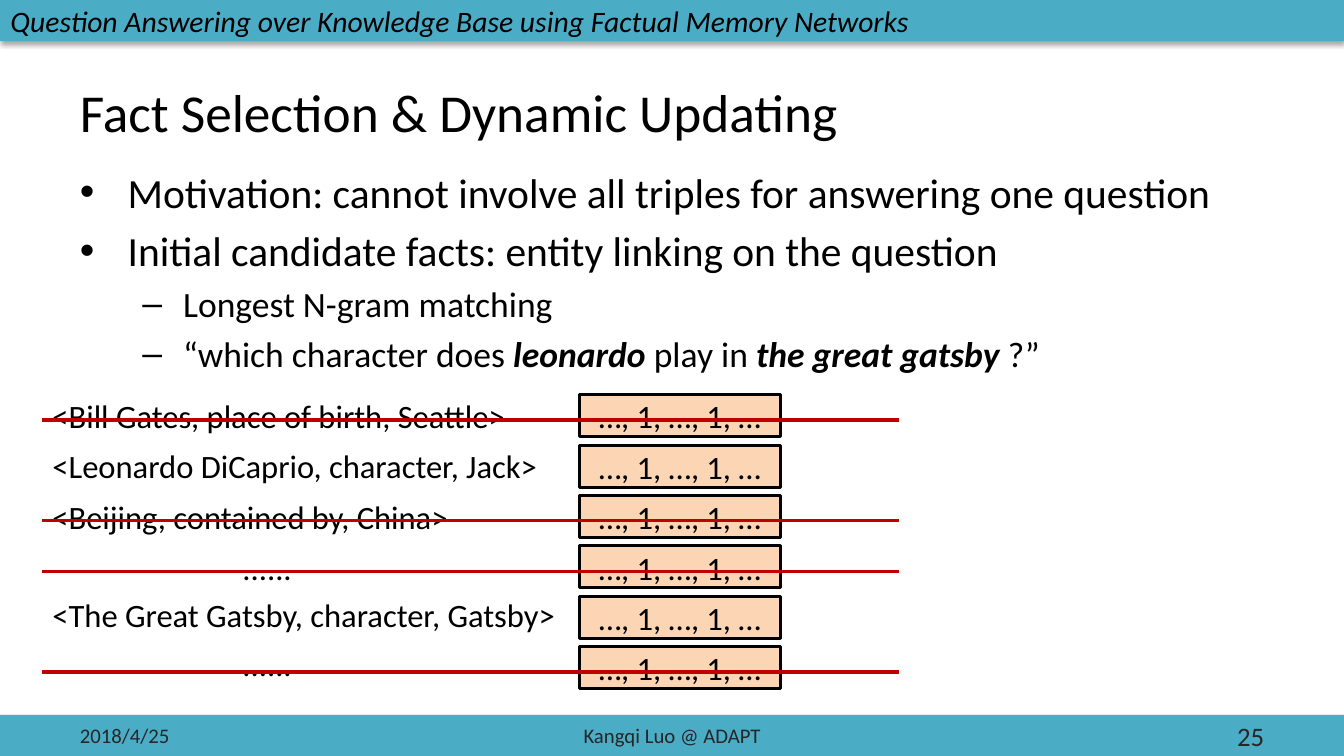
from lxml.etree import SubElement
from pptx import Presentation
from pptx.dml.color import RGBColor
from pptx.enum.shapes import MSO_CONNECTOR, MSO_SHAPE
from pptx.enum.text import MSO_ANCHOR, MSO_AUTO_SIZE, PP_ALIGN
from pptx.oxml.ns import qn
from pptx.util import Cm, Pt

COLORS = {"bar": "4BACC6", "box": "FCD5B5", "strike": "C00000",
          "text": "000000", "footer": "262626"}
FONT = "Calibri"
LEFT, CENTER, RIGHT = PP_ALIGN.LEFT, PP_ALIGN.CENTER, PP_ALIGN.RIGHT
WIDTH, HEIGHT = 32, 18
BAR_HEIGHT = 0.98
ROW_STEP = 1.2
VECTOR = "…, 1, …, 1, …"

BULLETS = [
    (0, [("Motivation: cannot involve all triples for answering one question", False)]),
    (0, [("Initial candidate facts: entity linking on the question", False)]),
    (1, [("Longest N-gram matching", False)]),
    (1, [("“which character does ", False), ("leonardo", True), (" play in ", False),
         ("the great gatsby", True), (" ?”", False)]),
]
# Text size, left margin and hanging indent of each list level
LEVELS = [(28, 1.14, -1.14), (24, 2.46, -0.97)]

# Text, top, width, alignment, struck out
FACTS = [
    ("<Bill Gates, place of birth, Seattle>", 9.3, 11.6, LEFT, True),
    ("<Leonardo DiCaprio, character, Jack>", 10.5, 13, LEFT, False),
    ("<Beijing, contained by, China>", 11.7, 10.72, LEFT, True),
    ("......", 12.92, 10.72, CENTER, True),
    ("<The Great Gatsby, character, Gatsby>", 14.05, 12.8, LEFT, False),
    ("......", 15.2, 10.72, CENTER, True),
]
FOOTERS = [
    ("2018/4/25", 1.6, 7.47, 14, LEFT),
    ("Kangqi Luo @ ADAPT", 10.94, 10.13, 14, CENTER),
    ("25", 22.93, 7.47, 18, RIGHT),
]


def rgb(name):
    return RGBColor.from_string(COLORS[name])


class SlideBuilder:
    def __init__(self, slide):
        self.slide = slide

    def style(self, p, size, color="text", align=LEFT, italic=None):
        p.alignment = align
        p.font.name = FONT
        p.font.size = Pt(size)
        p.font.color.rgb = rgb(color)
        p.font.italic = italic

    def place(self, sp, left, top, width, height):
        sp.left, sp.top, sp.width, sp.height = Cm(left), Cm(top), Cm(width), Cm(height)

    def pad(self, tf):
        tf.margin_left = tf.margin_right = Cm(0.3)
        tf.margin_top = tf.margin_bottom = Cm(0.16)

    def title(self, text):
        sp = self.slide.shapes.title
        self.place(sp, 1.6, 1.68, 28.8, 1.92)
        tf = sp.text_frame
        tf.text = text
        tf.auto_size = MSO_AUTO_SIZE.NONE
        tf.vertical_anchor = MSO_ANCHOR.MIDDLE
        self.pad(tf)
        self.style(tf.paragraphs[0], 36)

    def bullets(self, items):
        sp = self.slide.placeholders[1]
        self.place(sp, 1.6, 3.81, 28.8, 5.4)
        tf = sp.text_frame
        tf.auto_size = MSO_AUTO_SIZE.NONE
        self.pad(tf)
        for i, (level, runs) in enumerate(items):
            p = tf.add_paragraph() if i else tf.paragraphs[0]
            size, margin, indent = LEVELS[level]
            p.level = level
            self.style(p, size)
            pPr = p._p.get_or_add_pPr()
            pPr.set("marL", str(Cm(margin)))
            pPr.set("indent", str(Cm(indent)))
            for text, emphasis in runs:
                r = p.add_run()
                r.text = text
                if emphasis:
                    r.font.bold = r.font.italic = True

    def rect(self, left, top, width, height, fill):
        sp = self.slide.shapes.add_shape(
            MSO_SHAPE.RECTANGLE, Cm(left), Cm(top), Cm(width), Cm(height))
        sp.shadow.inherit = False
        sp.fill.solid()
        sp.fill.fore_color.rgb = rgb(fill)
        sp.text_frame.vertical_anchor = MSO_ANCHOR.MIDDLE
        return sp

    def bar(self, top, text=""):
        """Full-width band with a soft shadow below it."""
        sp = self.rect(0, top, WIDTH, BAR_HEIGHT, "bar")
        sp.line.fill.background()
        effects = sp._element.spPr.find(qn("a:effectLst"))
        shadow = SubElement(effects, qn("a:outerShdw"), blurRad=str(Pt(3.1)),
                            dist=str(Pt(1.8)), dir="5400000", rotWithShape="0")
        color = SubElement(shadow, qn("a:srgbClr"), val=COLORS["text"])
        SubElement(color, qn("a:alpha"), val="35000")
        if text:
            p = sp.text_frame.paragraphs[0]
            p.text = text
            self.style(p, 20, italic=True)

    def vector_box(self, top):
        sp = self.rect(13.79, top, 4.8, 1, "box")
        sp.line.color.rgb = rgb("text")
        sp.line.width = Pt(2)
        p = sp.text_frame.paragraphs[0]
        p.text = VECTOR
        self.style(p, 22, align=CENTER)

    def text(self, text, left, top, width, height, size, align, color="text"):
        sp = self.slide.shapes.add_textbox(Cm(left), Cm(top), Cm(width), Cm(height))
        tf = sp.text_frame
        tf.word_wrap = True
        p = tf.paragraphs[0]
        p.text = text
        self.style(p, size, color, align)
        return tf

    def footer(self, text, left, width, size, align):
        tf = self.text(text, left, HEIGHT - BAR_HEIGHT, width, BAR_HEIGHT,
                       size, align, "footer")
        tf.vertical_anchor = MSO_ANCHOR.MIDDLE
        self.pad(tf)

    def strike(self, y):
        line = self.slide.shapes.add_connector(
            MSO_CONNECTOR.STRAIGHT, Cm(21.41), Cm(y), Cm(1), Cm(y))
        line.line.color.rgb = rgb("strike")
        line.line.width = Pt(2.25)
        SubElement(line._element.spPr, qn("a:effectLst"))


def main():
    prs = Presentation()
    prs.slide_width, prs.slide_height = Cm(WIDTH), Cm(HEIGHT)
    s = SlideBuilder(prs.slides.add_slide(prs.slide_layouts[1]))

    s.bar(HEIGHT - BAR_HEIGHT)
    s.title("Fact Selection & Dynamic Updating")
    s.bullets(BULLETS)

    for i, (fact, top, width, align, struck) in enumerate(FACTS):
        s.vector_box(9.4 + i * ROW_STEP)
        s.text(fact, 1, top, width, 1.2, 22, align)
        if struck:
            s.strike(10 + i * ROW_STEP)

    for footer in FOOTERS:
        s.footer(*footer)
    s.bar(0, "Question Answering over Knowledge Base using Factual Memory Networks")
    prs.save("out.pptx")


if __name__ == "__main__":
    main()
